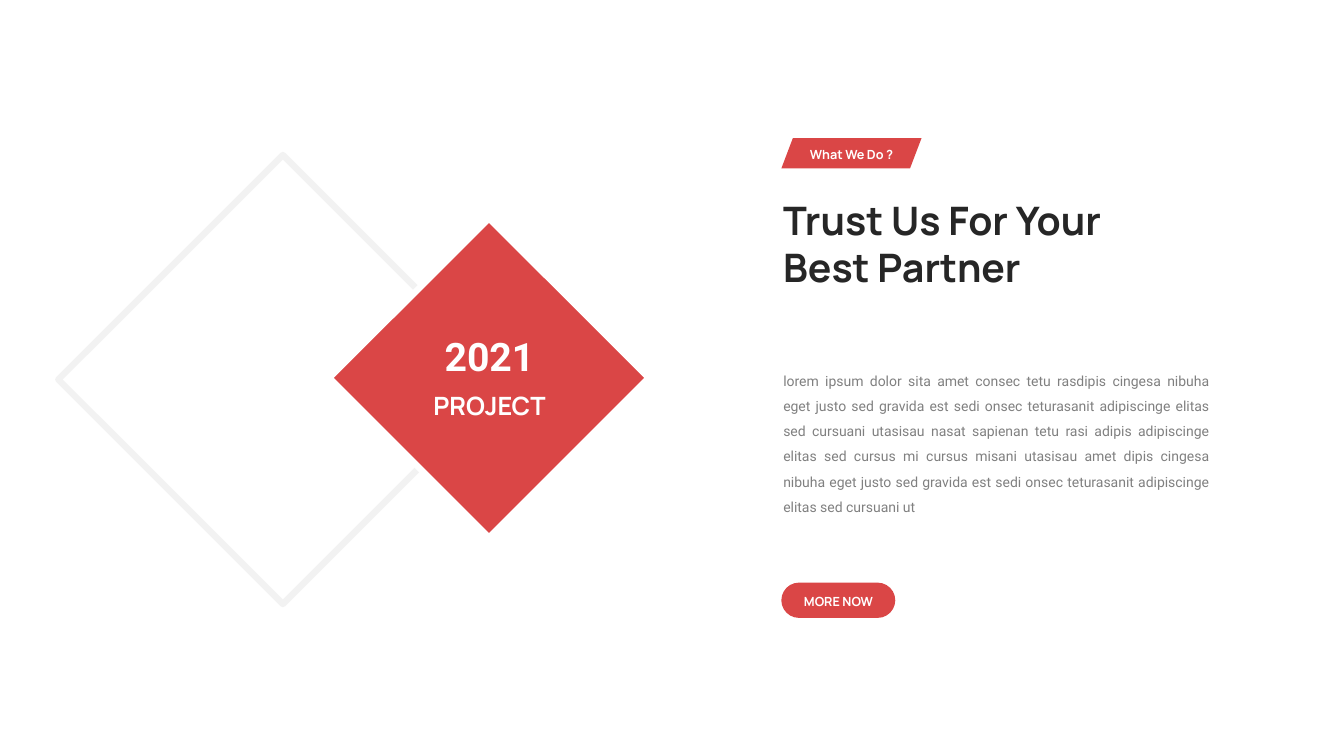
from pptx import Presentation
from pptx.dml.color import RGBColor
from pptx.enum.shapes import MSO_SHAPE
from pptx.enum.text import MSO_AUTO_SIZE, PP_ALIGN
from pptx.util import Inches, Pt

RECTANGLE = MSO_SHAPE.RECTANGLE
PARALLELOGRAM = MSO_SHAPE.PARALLELOGRAM
PILL = MSO_SHAPE.ROUNDED_RECTANGLE
FIT_SHAPE = MSO_AUTO_SIZE.SHAPE_TO_FIT_TEXT
LEFT, CENTER, JUSTIFY = PP_ALIGN.LEFT, PP_ALIGN.CENTER, PP_ALIGN.JUSTIFY

COLORS = {"red": "DA4646", "white": "FFFFFF", "pale": "F2F2F2",
          "dark": "262626", "gray": "808080"}

DIAMONDS = [
    {"center": (2.805, 3.765), "side": 3.15, "fill": None, "line": "pale"},
    {"center": (4.85, 3.75), "side": 2.24, "fill": "red", "line": "white"},
]
BADGES = [
    {"kind": PARALLELOGRAM, "box": (7.75, 1.37, 1.39, 0.3), "adjust": 0.38},
    {"kind": PILL, "box": (7.75, 5.78, 1.13, 0.35), "adjust": 0.5},
]
BODY = (
    "lorem ipsum dolor sita amet consec tetu rasdipis cingesa nibuha eget justo "
    "sed gravida est sedi onsec teturasanit adipiscinge elitas sed cursuani "
    "utasisau nasat sapienan tetu rasi adipis adipiscinge elitas sed cursus mi "
    "cursus misani utasisau amet dipis cingesa nibuha eget justo sed gravida est "
    "sedi onsec teturasanit adipiscinge elitas sed cursuani ut"
)
TEXTS = [
    {"text": "2021", "box": (3.83, 3.25, 2.05, 0.57), "size": 28,
     "font": "Roboto"},
    {"text": "PROJECT", "box": (3.83, 3.82, 2.05, 0.4), "size": 18},
    {"text": "Trust Us For Your Best Partner", "box": (7.67, 1.9, 4.27, 1.04),
     "size": 28, "color": "dark", "align": LEFT},
    {"text": "What We Do ?", "box": (7.87, 1.41, 1.15, 0.25), "size": 9,
     "wrap": False},
    {"text": BODY, "box": (7.67, 3.56, 4.42, 1.62), "size": 10,
     "font": "Roboto", "color": "gray", "bold": False, "align": JUSTIFY,
     "spacing": 1.5},
    {"text": "MORE NOW", "box": (7.84, 5.84, 0.95, 0.25), "size": 9,
     "wrap": False},
]


def rgb(name):
    return RGBColor.from_string(COLORS[name])


def add_figure(slide, kind, box, fill, line=None):
    figure = slide.shapes.add_shape(kind, *map(Inches, box))
    figure.shadow.inherit = False
    if fill:
        figure.fill.solid()
        figure.fill.fore_color.rgb = rgb(fill)
    else:
        figure.fill.background()
    if line:
        figure.line.color.rgb = rgb(line)
        figure.line.width = Pt(4.5)
    else:
        figure.line.fill.background()
    return figure


def add_text(slide, text, box, size, font="Manrope", color="white", bold=True,
             align=CENTER, spacing=None, wrap=True):
    frame = slide.shapes.add_textbox(*map(Inches, box)).text_frame
    frame.word_wrap = wrap
    frame.auto_size = FIT_SHAPE
    paragraph = frame.paragraphs[0]
    paragraph.alignment = align
    if spacing:
        paragraph.line_spacing = spacing
    run = paragraph.add_run()
    run.text = text
    run.font.name = font
    run.font.size = Pt(size)
    run.font.bold = bold
    run.font.color.rgb = rgb(color)


def main():
    deck = Presentation()
    deck.slide_width, deck.slide_height = Inches(13.33), Inches(7.5)
    slide = deck.slides.add_slide(deck.slide_layouts[6])
    for diamond in DIAMONDS:
        side = diamond["side"]
        x, y = (middle - side / 2 for middle in diamond["center"])
        square = add_figure(slide, RECTANGLE, (x, y, side, side),
                            diamond["fill"], diamond["line"])
        square.rotation = 45
    for badge in BADGES:
        label = add_figure(slide, badge["kind"], badge["box"], "red")
        label.adjustments[0] = badge["adjust"]
    for entry in TEXTS:
        add_text(slide, **entry)
    deck.save("out.pptx")


if __name__ == "__main__":
    main()
